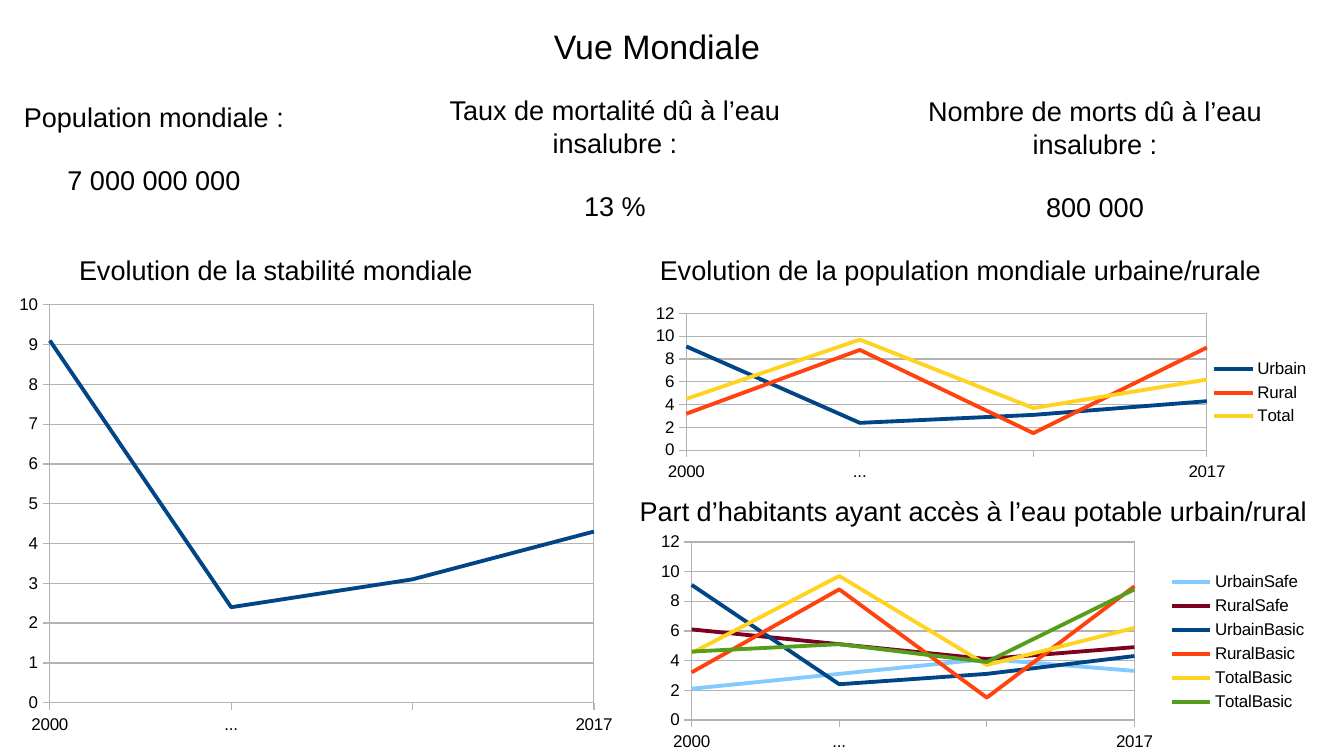
from lxml import etree
from pptx import Presentation
from pptx.chart.data import CategoryChartData
from pptx.dml.color import RGBColor
from pptx.enum.chart import XL_CHART_TYPE, XL_LEGEND_POSITION, XL_TICK_MARK
from pptx.enum.text import MSO_ANCHOR, PP_ALIGN
from pptx.oxml import parse_xml
from pptx.oxml.ns import nsdecls, qn
from pptx.util import Emu, Pt

FONT = "Arial"
BLACK = RGBColor(0x00, 0x00, 0x00)
GREY = RGBColor(0xB3, 0xB3, 0xB3)
NAVY = RGBColor(0x00, 0x45, 0x86)
ORANGE = RGBColor(0xFF, 0x42, 0x0E)
YELLOW = RGBColor(0xFF, 0xD3, 0x20)
SKY = RGBColor(0x83, 0xCA, 0xFF)
MAROON = RGBColor(0x7E, 0x00, 0x21)
GREEN = RGBColor(0x57, 0x9D, 0x1C)

YEARS = ["2000", "...", "", "2017"]
FALLING = (9.1, 2.4, 3.1, 4.3)
ZIGZAG = (3.2, 8.8, 1.5, 9)
PEAK = (4.5, 9.7, 3.7, 6.2)

STABILITY = [("Series 1", FALLING, NAVY)]
POPULATION = [
    ("Urbain", FALLING, NAVY),
    ("Rural", ZIGZAG, ORANGE),
    ("Total", PEAK, YELLOW),
]
WATER_ACCESS = [
    ("UrbainSafe", (2.1, 3.1, 4.1, 3.3), SKY),
    ("RuralSafe", (6.1, 5.1, 4.1, 4.9), MAROON),
    ("UrbainBasic", FALLING, NAVY),
    ("RuralBasic", ZIGZAG, ORANGE),
    ("TotalBasic", PEAK, YELLOW),
    ("TotalBasic", (4.6, 5.1, 3.9, 8.8), GREEN),
]


def px(length):
    return Emu(round(length * 914400 / 122))


def set_font(font, size):
    font.name = FONT
    font.size = Pt(size)
    font.color.rgb = BLACK


def add_text(page, text, area, size=16, gap=18):
    """Centre the lines of text in the area, with a gap in points between them."""
    box = page.shapes.add_textbox(*map(px, area))
    frame = box.text_frame
    frame.word_wrap = True
    frame.vertical_anchor = MSO_ANCHOR.MIDDLE
    frame.margin_left = frame.margin_right = 0
    frame.margin_top = frame.margin_bottom = 0
    for index, line in enumerate(text.split("\n")):
        para = frame.add_paragraph() if index else frame.paragraphs[0]
        para.alignment = PP_ALIGN.CENTER
        if index:
            para.space_before = Pt(gap)
        span = para.add_run()
        span.text = line
        set_font(span.font, size)


def style_line(line, color, width):
    line.color.rgb = color
    line.width = Pt(width)


def style_axis(axis):
    axis.major_tick_mark = XL_TICK_MARK.OUTSIDE
    axis.minor_tick_mark = XL_TICK_MARK.NONE
    set_font(axis.tick_labels.font, 10)
    style_line(axis.format.line, GREY, 0)


def start_lines_on_axis(values_axis):
    """Put the first and last points on the plot edges."""
    element = values_axis._element
    for old in element.findall(qn("c:crossBetween")):
        element.remove(old)
    crossing = parse_xml(f"<c:crossBetween {nsdecls('c')} val='midCat'/>")
    element.find(qn("c:majorUnit")).addprevious(crossing)


def place_plot(chart, area, plot):
    """Fix the inner plot rectangle and give it a thin frame."""
    left, top, width, height = area
    fractions = {
        "x": (plot[0] - left) / width,
        "y": (plot[1] - top) / height,
        "w": plot[2] / width,
        "h": plot[3] / height,
    }
    plot_area = chart._chartSpace.chart.plotArea
    for old in plot_area.findall(qn("c:layout")):
        plot_area.remove(old)
    layout = parse_xml(f"<c:layout {nsdecls('c')}><c:manualLayout/></c:layout>")
    settings = {"layoutTarget": "inner", "xMode": "edge", "yMode": "edge"}
    settings.update({key: f"{value:.3f}" for key, value in fractions.items()})
    for key, value in settings.items():
        etree.SubElement(layout[0], qn(f"c:{key}"), val=value)
    plot_area.insert(0, layout)
    plot_area.append(parse_xml(
        f"<c:spPr {nsdecls('c', 'a')}><a:noFill/><a:ln w='0'><a:solidFill>"
        f"<a:srgbClr val='{GREY}'/></a:solidFill></a:ln></c:spPr>"))


def add_line_chart(page, area, plot, series_list, top_value, step):
    data = CategoryChartData()
    data.categories = YEARS
    for name, values, _ in series_list:
        data.add_series(name, values)
    chart = page.shapes.add_chart(XL_CHART_TYPE.LINE, *map(px, area), data).chart
    set_font(chart.font, 10)
    chart.has_title = False
    chart.plots[0].vary_by_categories = False
    for series, (_, _, color) in zip(chart.plots[0].series, series_list):
        series.smooth = False
        style_line(series.format.line, color, 2.27)

    style_axis(chart.category_axis)
    values_axis = chart.value_axis
    style_axis(values_axis)
    values_axis.minimum_scale = 0
    values_axis.maximum_scale = top_value
    values_axis.major_unit = step
    values_axis.has_major_gridlines = True
    style_line(values_axis.major_gridlines.format.line, GREY, 0)
    start_lines_on_axis(values_axis)

    chart.has_legend = len(series_list) > 1
    if chart.has_legend:
        chart.legend.position = XL_LEGEND_POSITION.RIGHT
        chart.legend.include_in_layout = False
        set_font(chart.legend.font, 10)
    place_plot(chart, area, plot)


def main():
    deck = Presentation()
    deck.slide_width = px(1344)
    deck.slide_height = px(756)
    page = deck.slides.add_slide(deck.slide_layouts[6])

    add_text(page, "Vue Mondiale", (523, 25, 268, 42), size=20)
    add_text(page, "Population mondiale :\n7 000 000 000", (20, 101, 268, 94))
    add_text(page, "Taux de mortalité dû à l’eau insalubre :\n13 %",
             (408, 95, 414, 125))
    add_text(page, "Nombre de morts dû à l’eau insalubre :\n800 000",
             (888, 96, 414, 125))

    add_line_chart(page, (6, 287, 617, 457), (50, 305, 544, 398),
                   STABILITY, top_value=10, step=1)
    add_text(page, "Evolution de la stabilité mondiale", (48, 240, 456, 60))
    add_line_chart(page, (625, 304, 697, 177), (686, 312, 521, 139),
                   POPULATION, top_value=12, step=2)
    add_text(page, "Evolution de la population mondiale urbaine/rurale",
             (648, 240, 625, 60))
    add_line_chart(page, (648, 528, 672, 228), (692, 542, 443, 178),
                   WATER_ACCESS, top_value=12, step=2)
    add_text(page, "Part d’habitants ayant accès à l’eau potable urbain/rural",
             (625, 481, 697, 60))

    deck.save("out.pptx")


if __name__ == "__main__":
    main()
